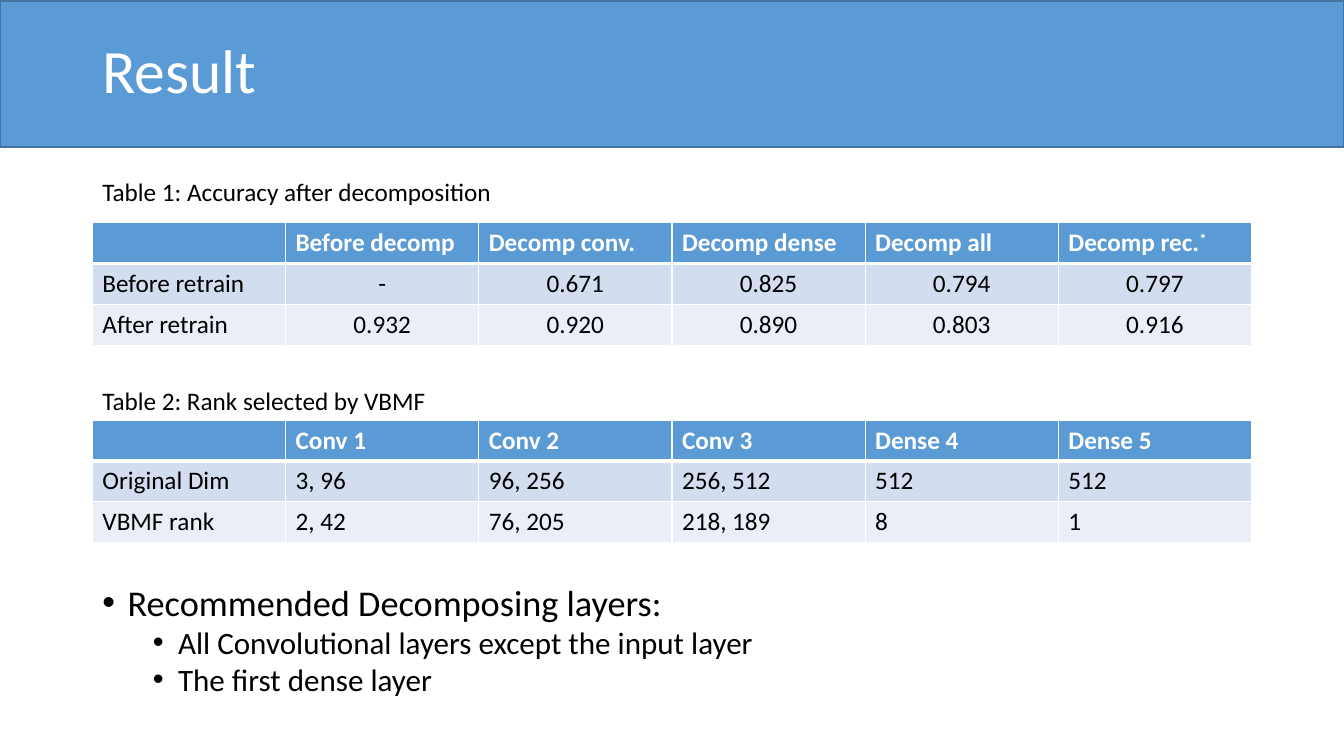
from dataclasses import dataclass

from lxml import etree
from pptx import Presentation, util as u
from pptx.dml.color import RGBColor
from pptx.enum import shapes, text
from pptx.oxml import ns

PX = 9525  # EMU in one px, 96 px to the inch


@dataclass(frozen=True)
class Theme:
    font: str = "Calibri"
    accent: str = "5B9BD5"
    banner_line: str = "43739E"
    light: str = "FFFFFF"
    dark: str = "000000"
    bands: tuple[str, ...] = ("D2DEEF", "EAEFF7")
    title_size: float = 44
    list_sizes: tuple[float, ...] = (25.9, 22.2)
    table_size: float = 18
    rule: float = 1
    header_rule: float = 3


@dataclass(frozen=True)
class Box:
    left: int
    top: int
    width: int
    height: int

    def emu(self) -> tuple[int, ...]:
        return tuple(n * PX for n in (self.left, self.top, self.width, self.height))


@dataclass(frozen=True)
class ResultTable:
    caption: str
    caption_box: Box
    top: int
    rows: tuple[tuple[str, ...], ...]
    centred: bool = False


@dataclass(frozen=True)
class Bullet:
    text: str
    level: int = 0


THEME = Theme()
LEFT, WIDTH, ROW_HEIGHT = 88, 1104, 39
BANNER = Box(0, 1, 1280, 139)
TITLE = Box(LEFT, 1, WIDTH, 139)
BODY = Box(LEFT, 556, WIDTH, 118)

TABLES = (
    ResultTable(
        "Table 1: Accuracy after decomposition", Box(LEFT, 163, 395, 38), 212,
        (("", "Before decomp", "Decomp conv.", "Decomp dense", "Decomp all", "Decomp rec.*"),
         ("Before retrain", "-", "0.671", "0.825", "0.794", "0.797"),
         ("After retrain", "0.932", "0.920", "0.890", "0.803", "0.916")),
        centred=True),
    ResultTable(
        "Table 2: Rank selected by VBMF", Box(LEFT, 362, 331, 38), 400,
        (("", "Conv 1", "Conv 2", "Conv 3", "Dense 4", "Dense 5"),
         ("Original Dim", "3, 96", "96, 256", "256, 512", "512", "512"),
         ("VBMF rank", "2, 42", "76, 205", "218, 189", "8", "1"))),
)

BULLETS = (
    Bullet("Recommended Decomposing layers:"),
    Bullet("All Convolutional layers except the input layer", 1),
    Bullet("The first dense layer", 1),
)


def rgb(color: str) -> RGBColor:
    return RGBColor.from_string(color)


def add_text(paragraph, content: str, *, size: float, color: str = THEME.dark,
             bold: bool = False, align=text.PP_ALIGN.LEFT, superscript: bool = False) -> None:
    paragraph.alignment = align
    run = paragraph.add_run()
    run.text = content
    font = run.font
    font.name, font.size, font.bold = THEME.font, u.Pt(size), bold
    font.color.rgb = rgb(color)
    if superscript:
        run._r.get_or_add_rPr().set("baseline", "30000")


def place(shape, box: Box) -> None:
    shape.left, shape.top, shape.width, shape.height = box.emu()


def add_banner(slide) -> None:
    banner = slide.shapes.add_shape(shapes.MSO_SHAPE.RECTANGLE, *BANNER.emu())
    banner.shadow.inherit = False
    banner.fill.solid()
    banner.fill.fore_color.rgb = rgb(THEME.accent)
    banner.line.color.rgb = rgb(THEME.banner_line)
    banner.line.width = u.Pt(THEME.rule)
    slide.shapes._spTree.insert(2, banner._element)  # behind the title


def fill_title(title) -> None:
    place(title, TITLE)
    frame = title.text_frame
    frame.auto_size = text.MSO_AUTO_SIZE.NONE
    frame.vertical_anchor = text.MSO_ANCHOR.MIDDLE
    paragraph = frame.paragraphs[0]
    paragraph.line_spacing = 0.9
    add_text(paragraph, "Result", size=THEME.title_size, color=THEME.light)


def fill_list(body) -> None:
    place(body, BODY)
    frame = body.text_frame
    frame.auto_size = text.MSO_AUTO_SIZE.NONE
    for index, bullet in enumerate(BULLETS):
        paragraph = frame.add_paragraph() if index else frame.paragraphs[0]
        paragraph.level = bullet.level
        properties = paragraph._p.get_or_add_pPr()
        properties.set("marL", str((24 + 48 * bullet.level) * PX))
        properties.set("indent", str(-24 * PX))
        etree.SubElement(properties, ns.qn("a:buFont")).set("typeface", "Arial")
        etree.SubElement(properties, ns.qn("a:buChar")).set("char", "•")
        paragraph.line_spacing = 0.8
        paragraph.space_before = u.Pt(5 if index else 0)
        add_text(paragraph, bullet.text, size=THEME.list_sizes[bullet.level])


def add_borders(cell, **widths: float) -> None:
    properties = cell._tc.get_or_add_tcPr()
    for side in "LRTB":
        line = etree.SubElement(properties, ns.qn(f"a:ln{side}"))
        line.set("w", str(u.Pt(widths.get(side, THEME.rule))))
        fill = etree.SubElement(line, ns.qn("a:solidFill"))
        etree.SubElement(fill, ns.qn("a:srgbClr")).set("val", THEME.light)


def format_cell(cell, content: str, row: int, *, align) -> None:
    header = row == 0
    edges = {0: {"B": THEME.header_rule}, 1: {"T": THEME.header_rule}}
    add_borders(cell, **edges.get(row, {}))
    cell.fill.solid()
    cell.fill.fore_color.rgb = rgb(THEME.accent if header else THEME.bands[(row - 1) % 2])
    style = dict(size=THEME.table_size, bold=header, align=align,
                 color=THEME.light if header else THEME.dark)
    label, star, _ = content.partition("*")
    paragraph = cell.text_frame.paragraphs[0]
    if label:
        add_text(paragraph, label, **style)
    if star:
        add_text(paragraph, star, superscript=True, **style)


def add_result_table(slide, result: ResultTable) -> None:
    row_count, column_count = len(result.rows), len(result.rows[0])
    box = Box(LEFT, result.top, WIDTH, ROW_HEIGHT * row_count)
    table = slide.shapes.add_table(row_count, column_count, *box.emu()).table
    for row, values in enumerate(result.rows):
        for column, value in enumerate(values):
            centred = result.centred and row and column
            align = text.PP_ALIGN.CENTER if centred else text.PP_ALIGN.LEFT
            format_cell(table.cell(row, column), value, row, align=align)


def add_caption(slide, result: ResultTable) -> None:
    frame = slide.shapes.add_textbox(*result.caption_box.emu()).text_frame
    frame.word_wrap = False
    frame.auto_size = text.MSO_AUTO_SIZE.SHAPE_TO_FIT_TEXT
    add_text(frame.paragraphs[0], result.caption, size=THEME.table_size)


def main() -> None:
    presentation = Presentation()
    presentation.slide_width, presentation.slide_height = 1280 * PX, 720 * PX
    slide = presentation.slides.add_slide(presentation.slide_layouts[1])

    # Heading and list
    add_banner(slide)
    fill_title(slide.shapes.title)
    fill_list(slide.placeholders[1])

    # Tables with their captions
    for result in TABLES:
        add_result_table(slide, result)
        add_caption(slide, result)

    presentation.save("out.pptx")


if __name__ == "__main__":
    main()
